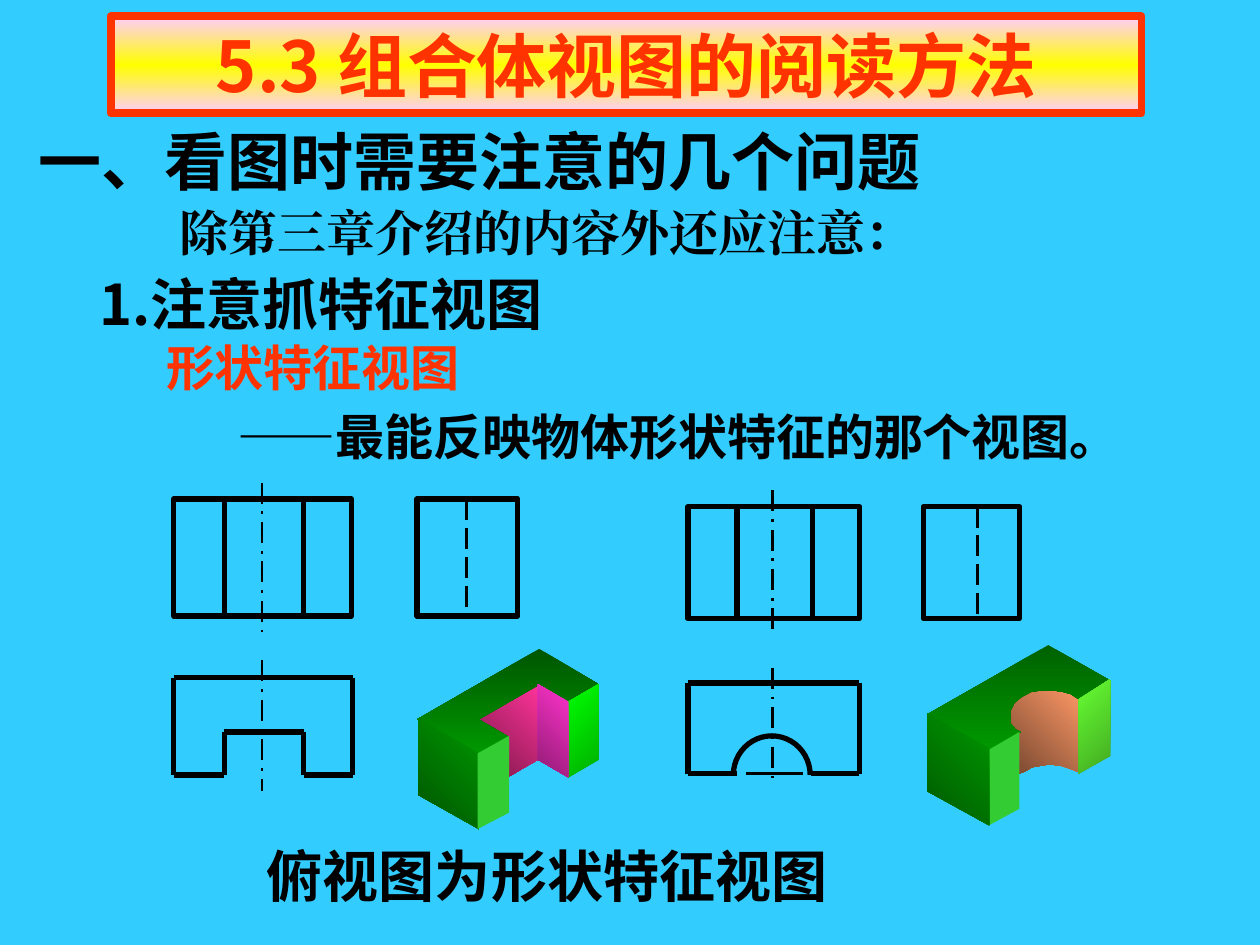
from copy import deepcopy
from itertools import pairwise
from typing import NamedTuple, Optional

from pptx import Presentation
from pptx.dml.color import RGBColor
from pptx.dml.fill import FillFormat
from pptx.enum.dml import MSO_LINE
from pptx.enum.shapes import MSO_CONNECTOR, MSO_SHAPE
from pptx.enum.text import MSO_ANCHOR, MSO_AUTO_SIZE, PP_ALIGN
from pptx.oxml.ns import qn
from pptx.shapes.autoshape import Shape
from pptx.shapes.shapetree import SlideShapes
from pptx.util import Inches, Pt

SLIDE_WIDTH, SLIDE_HEIGHT = Inches(10), Inches(7.5)
COLUMNS = 1000
CELL = SLIDE_WIDTH // COLUMNS

SKY = RGBColor(0x33, 0xCC, 0xFF)
BLACK = RGBColor(0, 0, 0)
RED = RGBColor(0xFF, 0x33, 0)
PINK = RGBColor(0xFF, 0xCC, 0xFF)
YELLOW = RGBColor(0xFF, 0xFF, 0)
LEAF = RGBColor(0x33, 0xCC, 0x33)
GREEN = RGBColor(0, 0x99, 0)
TOP_SHADE_SLOT = RGBColor(0, 0x56, 0)
TOP_SHADE_ARCH = RGBColor(0, 0x62, 0)
SIDE_SHADE_SLOT = RGBColor(0, 0x53, 0)
SIDE_SHADE_ARCH = RGBColor(0, 0x59, 0)
EMERALD = RGBColor(0, 0xAE, 0)
BRIGHT_GREEN = RGBColor(0, 0xFF, 0)
MOSS = RGBColor(0x43, 0xA9, 0x21)
LIME = RGBColor(0x66, 0xFF, 0x33)
ROSE = RGBColor(0xFF, 0x33, 0x99)
WINE = RGBColor(0x75, 0x17, 0x46)
MAGENTA = RGBColor(0xFF, 0x33, 0xCC)
PLUM = RGBColor(0x90, 0x1C, 0x73)
SALMON = RGBColor(0xFF, 0x99, 0x66)
BROWN = RGBColor(0x75, 0x46, 0x2F)

SANS, SERIF = "Noto Sans CJK SC", "Times New Roman"
OUTLINE, THIN = 3, 1.5

Point = tuple[int, int]


class Box(NamedTuple):
    column: int
    row: int
    columns: int
    rows: int

    def emu(self) -> list[int]:
        return [CELL * cells for cells in self]


class Caption(NamedTuple):
    text: str
    box: Box
    size: int
    font: str = SANS
    color: RGBColor = BLACK


class Projection(NamedTuple):
    front: Box
    side: Box
    axis: int
    axis_spans: list[Point]
    groove_edges: list[int]
    hidden_edge: int
    plan: list[Point]


class Facet(NamedTuple):
    corners: list[Point]
    colors: list[RGBColor]
    angle: int = 0


CAPTIONS = [
    Caption("一、看图时需要注意的几个问题", Box(21, 92, 720, 70), 36),
    Caption("除第三章介绍的内容外还应注意：", Box(133, 156, 602, 57), 28, SERIF),
    Caption("1.注意抓特征视图", Box(69, 209, 383, 64), 32),
    Caption("——最能反映物体形状特征的那个视图。", Box(179, 318, 728, 57), 28),
    Caption("形状特征视图", Box(122, 263, 253, 57), 28, color=RED),
    Caption("俯视图为形状特征视图", Box(202, 663, 465, 64), 32),
]

PROJECTIONS = [
    Projection(
        Box(138, 396, 141, 93), Box(331, 396, 80, 93),
        208, [(383, 502), (524, 628)], [178, 241], 370,
        [(178, 615), (138, 615), (138, 538), (280, 538), (280, 615),
         (241, 615), (241, 581), (178, 581), (178, 615)],
    ),
    Projection(
        Box(546, 402, 136, 89), Box(733, 402, 76, 89),
        613, [(389, 504), (530, 622)], [585, 645], 776,
        [(585, 614), (546, 614), (546, 542), (682, 542), (682, 614), (644, 614)],
    ),
]

ARCH = Box(582, 584, 61, 62)
ARCH_CHORD = [(592, 614), (637, 614)]

FACETS = [
    Facet([(377, 570), (427, 543), (427, 603), (401, 618), (402, 585)],
          [ROSE, WINE], 135),
    Facet([(331, 571), (380, 599), (404, 585), (380, 571), (427, 544),
           (451, 558), (475, 543), (428, 515)], [TOP_SHADE_SLOT, GREEN], 90),
    Facet([(332, 570), (332, 631), (380, 658), (380, 598)],
          [GREEN, SIDE_SHADE_SLOT], 135),
    Facet([(379, 598), (379, 658), (404, 645), (404, 584)], [LEAF]),
    Facet([(451, 557), (451, 617), (475, 603), (475, 543)],
          [EMERALD, BRIGHT_GREEN], 225),
    Facet([(427, 543), (427, 603), (451, 617), (451, 557)],
          [MAGENTA, PLUM], 135),
    Facet([(809, 582), (804, 578), (801, 573), (800, 561), (804, 555), (813, 549),
           (822, 546), (838, 545), (851, 549), (857, 552), (857, 613), (854, 612),
           (849, 610), (843, 608), (836, 607), (831, 607), (825, 608), (819, 609),
           (814, 612), (809, 614)], [SALMON, BROWN], 135),
    Facet([(784, 596), (810, 581), (806, 579), (802, 574), (802, 564), (805, 558),
           (811, 553), (819, 549), (827, 548), (835, 548), (843, 549), (850, 551),
           (856, 555), (881, 540), (832, 512), (736, 567)],
          [TOP_SHADE_ARCH, GREEN], 90),
    Facet([(785, 595), (785, 655), (809, 642), (809, 581)], [LEAF]),
    Facet([(736, 566), (736, 628), (785, 655), (785, 594)],
          [GREEN, SIDE_SHADE_ARCH], 135),
    Facet([(881, 539), (881, 600), (856, 614), (856, 555)], [MOSS, LIME], 225),
]


def write(shape: Shape, text: str, *, size: int, font: str = SANS,
          color: RGBColor = BLACK, align: PP_ALIGN = PP_ALIGN.LEFT,
          fit: bool = True) -> None:
    frame = shape.text_frame
    frame.word_wrap = not fit
    frame.auto_size = MSO_AUTO_SIZE.SHAPE_TO_FIT_TEXT if fit else MSO_AUTO_SIZE.NONE
    frame.vertical_anchor = MSO_ANCHOR.TOP if fit else MSO_ANCHOR.MIDDLE
    paragraph = frame.paragraphs[0]
    paragraph.alignment = align
    run = paragraph.add_run()
    run.text = text
    run.font.size = Pt(size)
    run.font.bold = True
    run.font.name = font
    run.font.color.rgb = color
    east_asian = run.font._element.makeelement(qn("a:ea"), {"typeface": font})
    run.font._element.find(qn("a:latin")).addnext(east_asian)


def paint(shape: Shape, colors: list[RGBColor], clockwise_angle: int) -> None:
    fill: FillFormat = shape.fill
    if len(colors) == 1:
        fill.solid()
        fill.fore_color.rgb = colors[0]
        return
    fill.gradient()
    fill.gradient_angle = (360 - clockwise_angle) % 360
    stops = shape._element.spPr.find(qn("a:gradFill")).find(qn("a:gsLst"))
    for _ in colors[2:]:
        stops.append(deepcopy(stops[-1]))
    for index, (stop, color) in enumerate(zip(fill.gradient_stops, colors)):
        stop.position = index / (len(colors) - 1)
        stop.color.rgb = color


def draw_outline(shapes: SlideShapes, kind: MSO_SHAPE, box: Box,
                 color: RGBColor = BLACK, width: float = OUTLINE) -> Shape:
    shape = shapes.add_shape(kind, *box.emu())
    shape.shadow.inherit = False
    shape.fill.background()
    shape.line.color.rgb = color
    shape.line.width = Pt(width)
    return shape


def draw_lines(shapes: SlideShapes, points: list[Point], width: float = OUTLINE,
               dash: Optional[MSO_LINE] = None) -> None:
    for start, end in pairwise(points):
        line = shapes.add_connector(
            MSO_CONNECTOR.STRAIGHT, *(CELL * cells for cells in start + end))
        line.line.color.rgb = BLACK
        line.line.width = Pt(width)
        if dash is not None:
            line.line.dash_style = dash
        properties = line._element.spPr
        properties.append(properties.makeelement(qn("a:effectLst"), {}))


def draw_projection(shapes: SlideShapes, view: Projection) -> None:
    draw_outline(shapes, MSO_SHAPE.RECTANGLE, view.front)
    draw_outline(shapes, MSO_SHAPE.RECTANGLE, view.side)
    top, bottom = view.front.row, view.front.row + view.front.rows
    for edge in view.groove_edges:
        draw_lines(shapes, [(edge, top), (edge, bottom)])
    draw_lines(shapes, [(view.hidden_edge, top), (view.hidden_edge, bottom)],
               THIN, MSO_LINE.LONG_DASH)
    for start, end in view.axis_spans:
        draw_lines(shapes, [(view.axis, start), (view.axis, end)],
                   THIN, MSO_LINE.LONG_DASH_DOT)
    draw_lines(shapes, view.plan)


def draw_facet(shapes: SlideShapes, facet: Facet) -> None:
    builder = shapes.build_freeform(*facet.corners[0], scale=CELL)
    builder.add_line_segments(facet.corners[1:], close=True)
    shape = builder.convert_to_shape()
    shape.shadow.inherit = False
    shape.line.fill.background()
    paint(shape, facet.colors, facet.angle)


def main() -> None:
    presentation = Presentation()
    presentation.slide_width, presentation.slide_height = SLIDE_WIDTH, SLIDE_HEIGHT
    slide = presentation.slides.add_slide(presentation.slide_layouts[6])
    slide.background.fill.solid()
    slide.background.fill.fore_color.rgb = SKY
    shapes = slide.shapes

    title = draw_outline(shapes, MSO_SHAPE.RECTANGLE, Box(88, 13, 818, 77), RED, 4.5)
    paint(title, [PINK, YELLOW, PINK], 90)
    write(title, "5.3 组合体视图的阅读方法", size=40, color=RED,
          align=PP_ALIGN.CENTER, fit=False)
    for caption in CAPTIONS:
        write(shapes.add_textbox(*caption.box.emu()), caption.text,
              size=caption.size, font=caption.font, color=caption.color)
    for view in PROJECTIONS:
        draw_projection(shapes, view)
    arch = draw_outline(shapes, MSO_SHAPE.ARC, ARCH)
    arch.adjustments[0], arch.adjustments[1] = 108, 0
    draw_lines(shapes, ARCH_CHORD, THIN)
    for facet in FACETS:
        draw_facet(shapes, facet)
    presentation.save("out.pptx")


if __name__ == "__main__":
    main()
